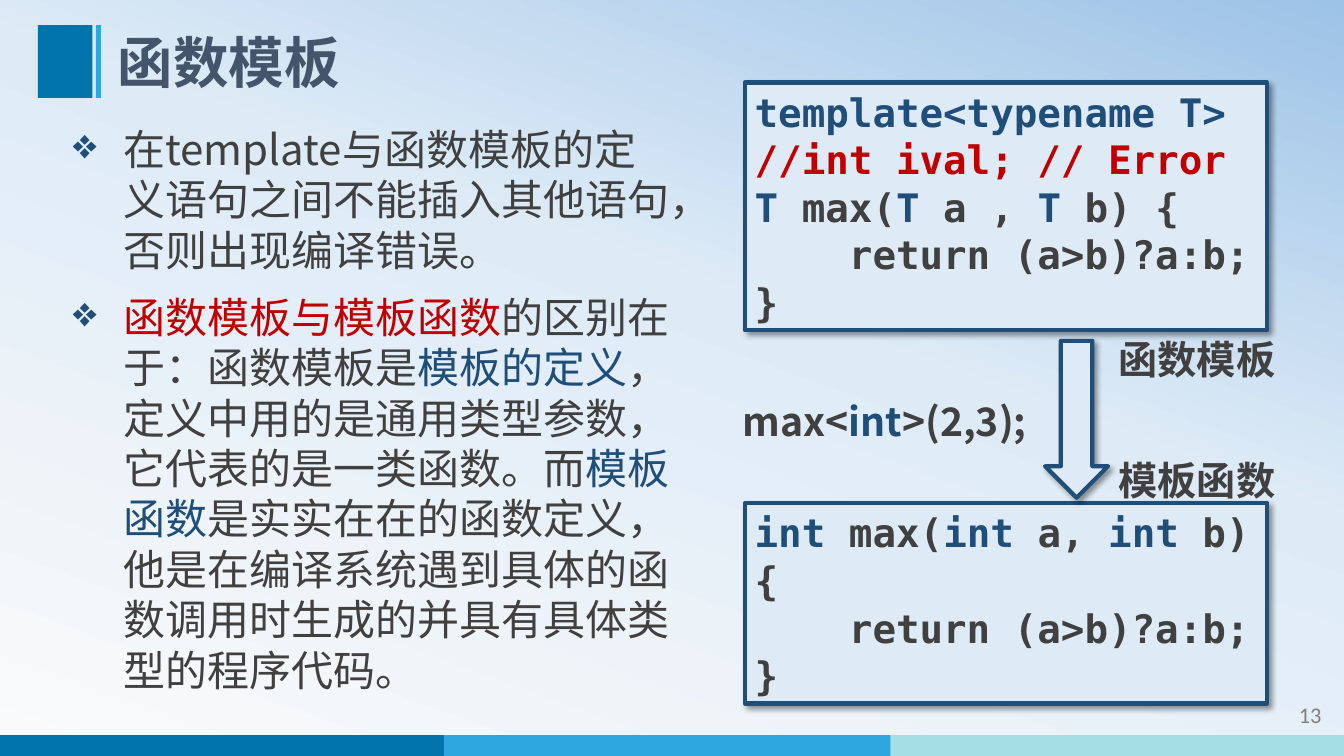
from dataclasses import dataclass
from pptx import Presentation
from pptx.dml.color import RGBColor
from pptx.enum.shapes import MSO_SHAPE
from pptx.enum.text import MSO_ANCHOR, PP_ALIGN
from pptx.oxml import parse_xml
from pptx.oxml.ns import nsdecls, qn
from pptx.util import Pt

SANS, MONO = "Noto Sans CJK SC", "DejaVu Sans Mono"
NAVY, RED, DARK, PALE = "1F4E79", "C00000", "404040", "DEEBF7"
BLUE, SKY, AQUA = "0073AB", "2EA7E0", "A5DEE4"

Run = tuple[str, str]  # text, colour
Lines = list[list[Run]]


@dataclass
class Box:
    left: float
    top: float
    width: float
    height: float

    def pts(self) -> list[Pt]:
        return [Pt(v) for v in (self.left, self.top, self.width, self.height)]


@dataclass
class Style:
    size: float
    pitch: float | None = None
    font: str = SANS
    bold: bool = True
    align: PP_ALIGN = PP_ALIGN.LEFT
    bullet: bool = False


@dataclass
class Label:
    box: Box
    lines: Lines
    style: Style
    wrap: bool = True
    anchor: MSO_ANCHOR = MSO_ANCHOR.TOP


def paint(color, code: str) -> None:
    color.rgb = RGBColor.from_string(code)


def mark(para) -> None:
    """Give a paragraph its diamond bullet and hanging indent."""
    props = para._p.get_or_add_pPr()
    props.set("marL", str(Pt(45)))
    props.set("indent", str(Pt(-36)))
    ns = nsdecls("a")
    props.append(parse_xml(f'<a:buClr {ns}><a:srgbClr val="{NAVY}"/></a:buClr>'))
    props.append(parse_xml(f'<a:buChar {ns} char="❖"/>'))


def write(frame, lines: Lines, style: Style) -> None:
    for i, line in enumerate(lines):
        para = frame.paragraphs[0] if i == 0 else frame.add_paragraph()
        if style.bullet:
            mark(para)
            para.space_before = Pt(12 if i else 3)
        para.alignment = style.align
        if style.pitch:
            para.line_spacing = Pt(style.pitch)
        font = para.font
        font.name, font.size, font.bold = style.font, Pt(style.size), style.bold
        font._element.append(parse_xml(
            f'<a:ea {nsdecls("a")} typeface="{style.font}"/>'))
        for text, code in line:
            run = para.add_run()
            run.text = text
            paint(run.font.color, code)


def label(item: Label) -> None:
    frame = slide.shapes.add_textbox(*item.box.pts()).text_frame
    frame.word_wrap = item.wrap
    frame.vertical_anchor = item.anchor
    write(frame, item.lines, item.style)


def block(box: Box, code: str, kind: MSO_SHAPE = MSO_SHAPE.RECTANGLE):
    shape = slide.shapes.add_shape(kind, *box.pts())
    shape.shadow.inherit = False
    shape.fill.solid()
    paint(shape.fill.fore_color, code)
    shape.line.fill.background()
    return shape


def card(box: Box, kind: MSO_SHAPE = MSO_SHAPE.RECTANGLE):
    """Draw a pale shape with a navy outline and a soft shadow."""
    shape = block(box, PALE, kind)
    paint(shape.line.color, NAVY)
    shape.line.width = Pt(3)
    shape._element.spPr.find(qn("a:effectLst")).append(parse_xml(
        f'<a:outerShdw {nsdecls("a")} blurRad="{Pt(4)}" dist="{Pt(3)}" '
        'dir="2700000" algn="tl" rotWithShape="0"><a:srgbClr val="000000">'
        '<a:alpha val="40000"/></a:srgbClr></a:outerShdw>'))
    return shape


def code(box: Box, lines: Lines) -> None:
    frame = card(box).text_frame
    frame.word_wrap = True
    frame.vertical_anchor = MSO_ANCHOR.TOP
    write(frame, lines, Style(28, 34, MONO))


deck = Presentation()
deck.slide_width, deck.slide_height = Pt(960), Pt(540)
slide = deck.slides.add_slide(deck.slide_layouts[6])

# Background gradient
slide.background.fill.gradient()
grad = slide._element.find(".//" + qn("a:gradFill"))
stops = "".join(f'<a:gs pos="{pos}000"><a:srgbClr val="{tint}"/></a:gs>'
                for pos, tint in ((0, "FAFAFA"), (58, PALE), (100, "9DC3E6")))
grad.getparent().replace(grad, parse_xml(
    f'<a:gradFill {nsdecls("a")} rotWithShape="1"><a:gsLst>{stops}</a:gsLst>'
    f'<a:lin ang="{290 * 60000}" scaled="0"/></a:gradFill>'))

# Footer bands and title marks
for i, tint in enumerate((BLUE, SKY, AQUA)):
    block(Box(319 * i - 2, 525, 324, 15), tint)
block(Box(27, 18, 39, 52), BLUE)
block(Box(68.5, 18, 3.5, 52), SKY)

# Page number, title and body
label(Label(Box(836.5, 497.5, 114.5, 29), [[("13", "808080")]],
            Style(16, font="Calibri", bold=False, align=PP_ALIGN.RIGHT)))
label(Label(Box(77, 20, 782, 52), [[("函数模板", "44546A")]],
            Style(39.6, 43), anchor=MSO_ANCHOR.MIDDLE))
label(Label(Box(36, 84.5, 451, 430), [
    [("在template与函数模板的定义语句之间不能插入其他语句，否则出现编译错误。", DARK)],
    [("函数模板与模板函数", RED), ("的区别在于：函数模板是", DARK),
     ("模板的定义", NAVY),
     ("，定义中用的是通用类型参数，它代表的是一类函数。而", DARK),
     ("模板函数", NAVY),
     ("是实实在在的函数定义，他是在编译系统遇到具体的函数调用时"
      "生成的并具有具体类型的程序代码。", DARK)],
], Style(30, 36, bold=False, bullet=True)))

# Code cards
tail = [[("    return (a>b)?a:b;", DARK)], [("}", DARK)]]
code(Box(532, 59, 373, 177), [
    [("template<typename T>", NAVY)],
    [("//int ival; // Error", RED)],
    [("T", NAVY), (" max(", DARK), ("T", NAVY), (" a , ", DARK),
     ("T", NAVY), (" b) {", DARK)],
    *tail])
code(Box(532, 359.5, 373, 143), [
    [("int", NAVY), (" max(", DARK), ("int", NAVY), (" a, ", DARK),
     ("int", NAVY), (" b)", DARK)],
    [("{", DARK)],
    *tail])

# Call, captions and arrow
bold = Style(28, 34)
label(Label(Box(523.5, 280, 258.5, 41),
            [[("max<", DARK), ("int", NAVY), (">(2,3);", DARK)]], bold))
for top, text in ((235.5, "函数模板"), (322, "模板函数")):
    label(Label(Box(792, top, 127.5, 41), [[(text, DARK)]], bold, wrap=False))
card(Box(746.5, 243.5, 45, 112), MSO_SHAPE.DOWN_ARROW)

deck.save("out.pptx")
